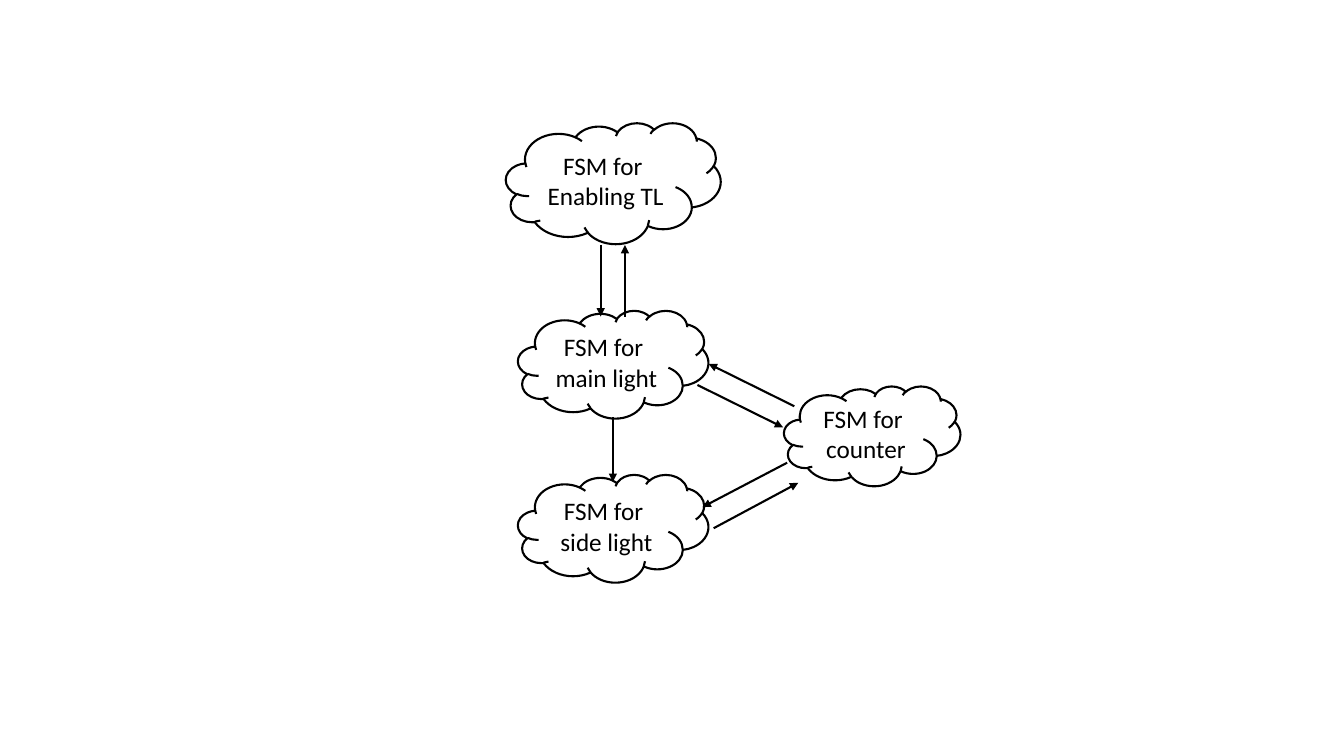
import pptx
import pptx.util
import pptx.dml.color
import pptx.enum.shapes
import pptx.enum.text
import pptx.oxml
import pptx.oxml.ns
from pptx.util import Pt

BLACK = pptx.dml.color.RGBColor(0, 0, 0)

# Name, left, top, width, height
CLOUDS = [
    ("counter", 560, 275.8, 126, 71.3),
    ("main light", 370, 221.8, 136, 77),
    ("side light", 370, 339, 136, 77),
    ("Enabling TL", 361.4, 87.8, 153.4, 86.4),
]

# Start x, start y, end x, end y
ARROWS = [
    (429.1, 175, 429.1, 226.1),      # enabling to main
    (446.4, 226.1, 446.4, 175),      # main to enabling
    (437.8, 298.1, 437.8, 344.2),    # main to side
    (498.2, 275, 559.4, 305.3),      # main to counter
    (567.4, 290.2, 506.2, 259.9),    # counter to main
    (562.3, 330.5, 501.8, 362.2),    # counter to side
    (509.8, 377.3, 570.2, 344.9),    # side to counter
]


def set_line(line):
    line.color.rgb = BLACK
    line.width = Pt(1.5)


def add_cloud(slide, name, *box):
    cloud = slide.shapes.add_shape(
        pptx.enum.shapes.MSO_SHAPE.CLOUD, *map(Pt, box))
    cloud.shadow.inherit = False
    cloud.fill.background()
    set_line(cloud.line)
    frame = cloud.text_frame
    frame.word_wrap = True
    frame.vertical_anchor = pptx.enum.text.MSO_ANCHOR.MIDDLE
    frame.text = "FSM for \n" + name
    for para in frame.paragraphs:
        para.alignment = pptx.enum.text.PP_ALIGN.CENTER
        para.font.name = "Calibri"
        para.font.size = Pt(18)
        para.font.color.rgb = BLACK


def add_arrow(slide, *ends):
    arrow = slide.shapes.add_connector(
        pptx.enum.shapes.MSO_CONNECTOR.STRAIGHT, *map(Pt, ends))
    set_line(arrow.line)
    # Arrowhead at the end, and no shadow
    tip = pptx.oxml.parse_xml(
        "<a:tailEnd %s type='triangle'/>" % pptx.oxml.ns.nsdecls("a"))
    arrow.line._get_or_add_ln().append(tip)
    plain = pptx.oxml.parse_xml(
        "<a:effectLst %s/>" % pptx.oxml.ns.nsdecls("a"))
    arrow._element.spPr.append(plain)


def main():
    deck = pptx.Presentation()
    deck.slide_width, deck.slide_height = Pt(960), Pt(540)
    slide = deck.slides.add_slide(deck.slide_layouts[6])

    # State machines
    for cloud in CLOUDS:
        add_cloud(slide, *cloud)

    # Signals between them
    for arrow in ARROWS:
        add_arrow(slide, *arrow)

    deck.save("out.pptx")


if __name__ == "__main__":
    main()
